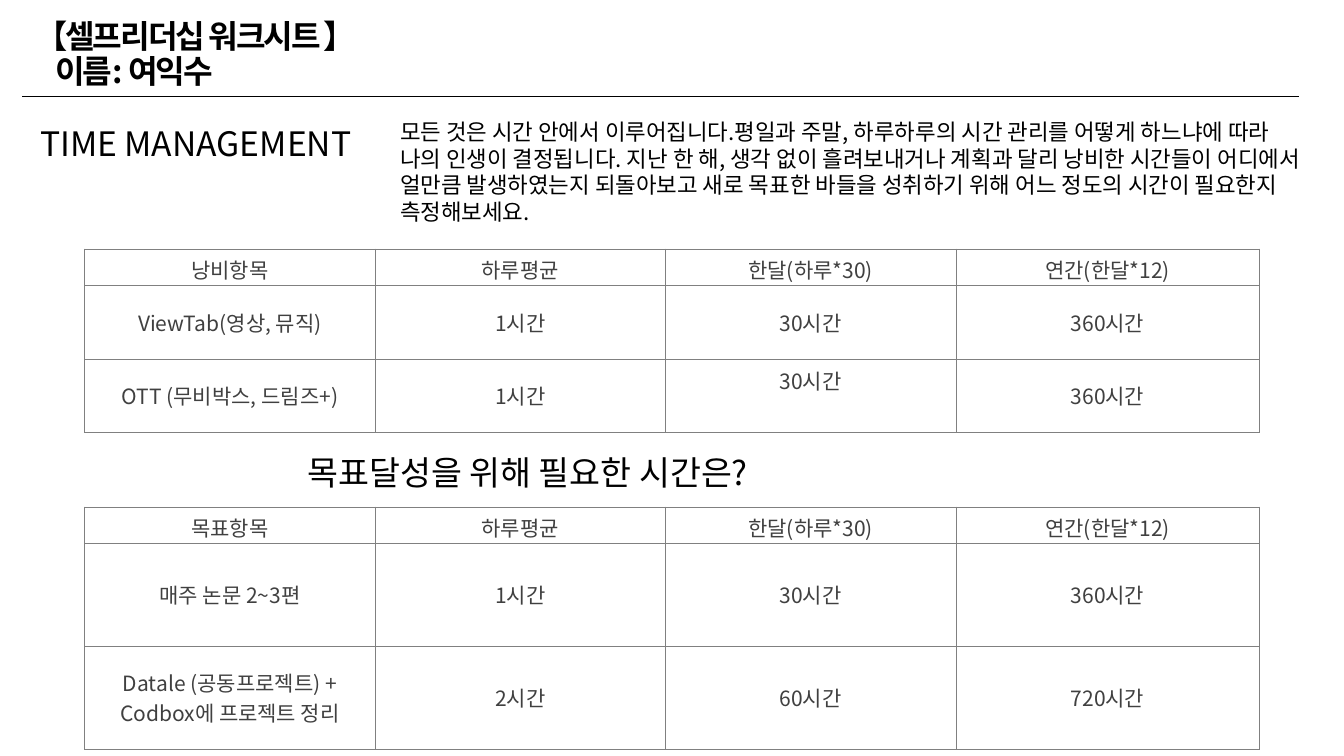
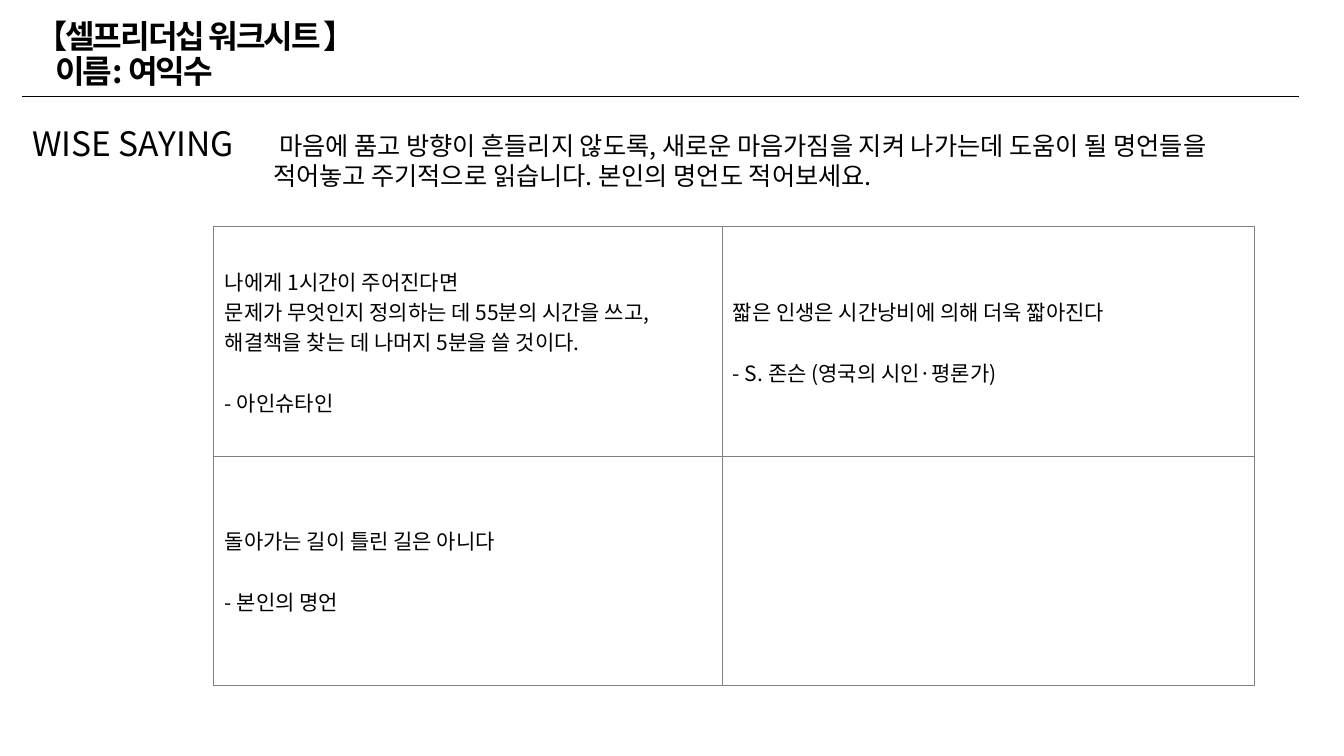
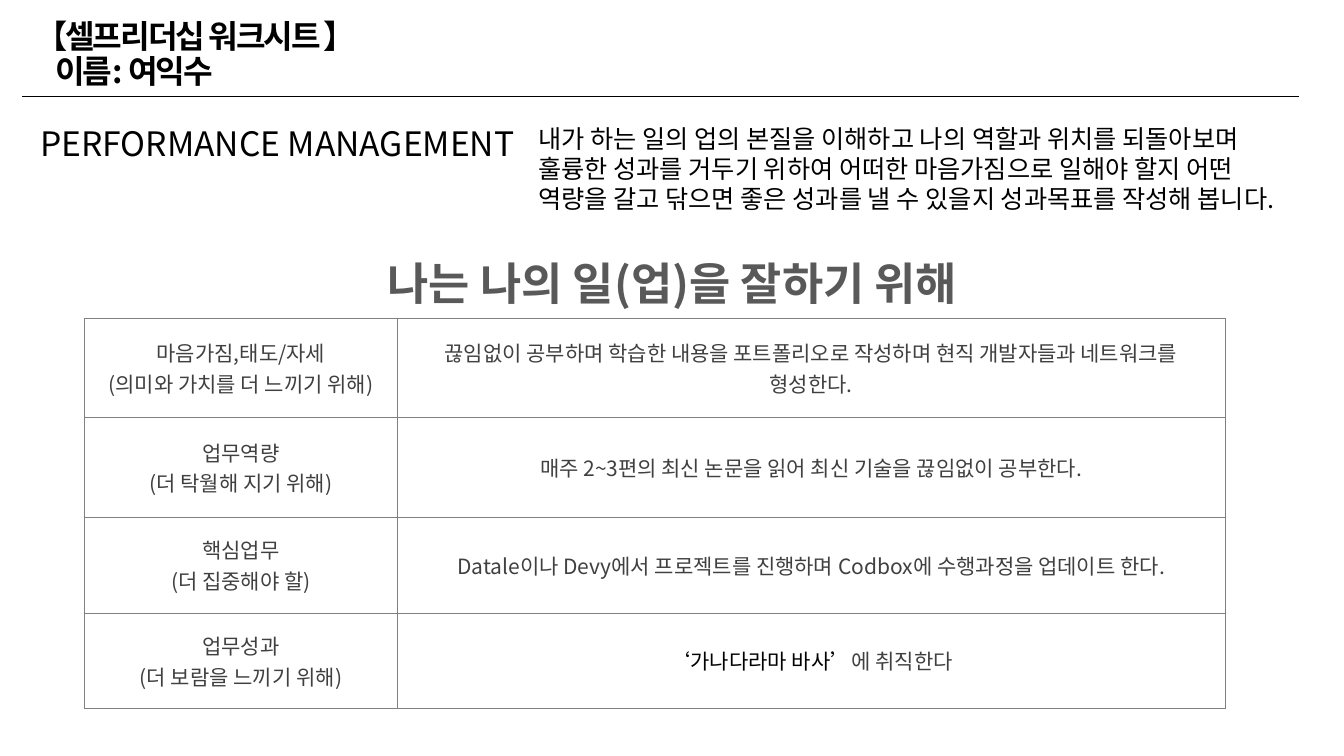
"""Build a three-slide self-leadership worksheet."""
from lxml import etree
from pptx import Presentation
from pptx import util as u
from pptx.dml.color import RGBColor
from pptx.enum import shapes, text
from pptx.oxml.ns import qn

BLACK = RGBColor(0x00, 0x00, 0x00)
WHITE = RGBColor(0xFF, 0xFF, 0xFF)
CELL_GRAY = RGBColor(0x40, 0x40, 0x40)
QUESTION_GRAY = RGBColor(0x59, 0x59, 0x59)
BORDER = "808080"
FONT = "Noto Sans CJK KR"
LEFT, CENTER = text.PP_ALIGN.LEFT, text.PP_ALIGN.CENTER


class Worksheet:
    """Holds the shared style and the current slide."""

    def __init__(self):
        self.deck = Presentation()
        self.deck.slide_width = u.Inches(13.33)
        self.deck.slide_height = u.Inches(7.5)
        self.slide = None

    def add_lines(self, frame, lines, size, color=BLACK, bold=False, align=LEFT):
        """Add lines, each a string or a list of (text, colour) runs."""
        frame.word_wrap = True
        for index, line in enumerate(lines):
            paragraph = frame.add_paragraph() if index else frame.paragraphs[0]
            paragraph.alignment = align
            for words, shade in [(line, color)] if isinstance(line, str) else line:
                run = paragraph.add_run()
                run.text = words
                run.font.size = u.Pt(size)
                run.font.bold = bold
                run.font.color.rgb = shade
                run.font.name = FONT
                etree.SubElement(run.font._element, qn("a:ea"), typeface=FONT)
        return frame.paragraphs

    def page(self):
        """Start a slide with the worksheet title and its rule."""
        self.slide = self.deck.slides.add_slide(self.deck.slide_layouts[5])
        rule = self.slide.shapes.add_connector(
            shapes.MSO_CONNECTOR.STRAIGHT,
            u.Inches(0.22), u.Inches(0.96), u.Inches(12.88), u.Inches(0.96))
        rule.line.color.rgb = BLACK
        rule.line.width = u.Pt(0.5)
        etree.SubElement(rule._element.spPr, qn("a:effectLst"))

        title = self.slide.shapes.title
        title.left, title.top = u.Inches(0.28), u.Inches(0.15)
        title.width, title.height = u.Inches(11.74), u.Inches(0.8)
        frame = title.text_frame
        frame.auto_size = text.MSO_AUTO_SIZE.NONE
        frame.vertical_anchor = text.MSO_ANCHOR.MIDDLE
        frame.margin_left = frame.margin_right = u.Inches(0.07)
        frame.margin_top = frame.margin_bottom = u.Inches(0.04)
        lines = self.add_lines(frame, ["【셀프리더십 워크시트 】", "이름: 여익수"], 23, bold=True)
        for paragraph in lines:
            paragraph.line_spacing = 0.9
            paragraph.space_before = u.Pt(0)
            paragraph.runs[0].font._element.set("spc", "-150")
        lines[1]._p.get_or_add_pPr().set("marL", str(u.Inches(0.2)))

    def label(self, words, left, top, width, height, size, **style):
        """Add a text box and return its paragraph."""
        box = self.slide.shapes.add_textbox(
            u.Inches(left), u.Inches(top), u.Inches(width), u.Inches(height))
        box.text_frame.auto_size = text.MSO_AUTO_SIZE.SHAPE_TO_FIT_TEXT
        return self.add_lines(box.text_frame, [words], size, **style)[0]

    def section(self, words, left):
        """Add the section heading below the rule."""
        self.label(words, left, 1.17, 12.9, 0.5, 24)

    def table(self, left, top, widths, heights, rows, color=CELL_GRAY, align=CENTER):
        """Add a bordered table whose cells are lists of lines."""
        grid = self.slide.shapes.add_table(
            len(heights), len(widths), u.Inches(left), u.Inches(top),
            u.Inches(sum(widths)), u.Inches(sum(heights))).table
        grid.first_row = grid.horz_banding = False
        for column, width in zip(grid.columns, widths):
            column.width = u.Inches(width)
        for row, height, contents in zip(grid.rows, heights, rows):
            row.height = u.Inches(height)
            for cell, lines in zip(row.cells, contents):
                self.style_cell(cell)
                self.add_lines(cell.text_frame, lines, 15, color, align=align)
        return grid

    def style_cell(self, cell):
        """Give a cell its margins, border and fill."""
        cell.vertical_anchor = text.MSO_ANCHOR.MIDDLE
        cell.margin_left = cell.margin_right = u.Inches(0.11)
        cell.margin_top = cell.margin_bottom = u.Inches(0.05)
        properties = cell._tc.get_or_add_tcPr()
        for side in ("a:lnL", "a:lnR", "a:lnT", "a:lnB"):
            edge = etree.SubElement(properties, qn(side), w=str(u.Pt(0.5)))
            paint = etree.SubElement(edge, qn("a:solidFill"))
            etree.SubElement(paint, qn("a:srgbClr"), val=BORDER)
        cell.fill.solid()
        cell.fill.fore_color.rgb = WHITE

    def hours_table(self, top, row_height, subject, items):
        """Add a table of daily, monthly and yearly hours."""
        rows = [[[subject], ["하루평균"], ["한달(하루*30)"], ["연간(한달*12)"]]]
        for item, hours in items:
            rows.append([[item]] + [[f"{hours * days}시간"] for days in (1, 30, 360)])
        grid = self.table(0.84, top, [2.88, 2.88, 2.88, 3.01],
                          [0.36, row_height, row_height], rows)
        for cell in grid.rows[0].cells:
            cell.margin_bottom = 0
        return grid


sheet = Worksheet()

sheet.page()
sheet.section("TIME MANAGEMENT", 0.3)
sheet.label(
    "모든 것은 시간 안에서 이루어집니다.평일과 주말, 하루하루의 시간 관리를 어떻게 하느냐에 "
    "따라 나의 인생이 결정됩니다. 지난 한 해, 생각 없이 흘려보내거나 계획과 달리 낭비한 시간들이 "
    "어디에서 얼만큼 발생하였는지 되돌아보고 새로 목표한 바들을 성취하기 위해 어느 정도의 시간이 "
    "필요한지 측정해보세요.", 3.87, 1.12, 9.15, 1.18, 16)
wasted = sheet.hours_table(2.47, 0.73, "낭비항목", [
    ("ViewTab(영상, 뮤직)", 1), ("OTT (무비박스, 드림즈+)", 1)])
wasted.cell(2, 2).margin_bottom = u.Inches(0.35)
sheet.hours_table(5.03, 1.02, "목표항목", [
    ("매주 논문 2~3편", 1), ("Datale (공동프로젝트) + Codbox에 프로젝트 정리", 2)])
sheet.label("목표달성을 위해 필요한 시간은?", 2.95, 4.43, 10.27, 0.5, 24)

sheet.page()
sheet.section("WISE SAYING", 0.22)
advice = sheet.label(
    "마음에 품고 방향이 흔들리지 않도록, 새로운 마음가짐을 지켜 나가는데 도움이 될 명언들을 "
    "적어놓고 주기적으로 읽습니다. 본인의 명언도 적어보세요.", 2.61, 1.24, 10.27, 1.01, 18)
advice._p.get_or_add_pPr().set("indent", str(u.Inches(0.06)))
quotes = sheet.table(2.12, 2.25, [5.04, 5.28], [2.28, 2.27], [
    [["나에게\u00a01시간이 주어진다면",
      "문제가 무엇인지 정의하는 데 55분의 시간을 쓰고, 해결책을 찾는 데 나머지 5분을 쓸 것이다.",
      "- 아인슈타인"],
     ["짧은 인생은 시간낭비에 의해 더욱 짧아진다", "- S. 존슨 (영국의 시인·평론가)"]],
    [["돌아가는 길이 틀린 길은 아니다", "- 본인의 명언"], []],
], color=BLACK, align=LEFT)
for quote in quotes.iter_cells():
    if quote.text:
        quote.text_frame.paragraphs[-1].space_before = u.Pt(21.7)

sheet.page()
sheet.section("PERFORMANCE MANAGEMENT", 0.3)
sheet.label(
    "내가 하는 일의 업의 본질을 이해하고 나의 역할과 위치를 되돌아보며 훌륭한 성과를 거두기 위하여 "
    "어떠한 마음가짐으로 일해야 할지 어떤 역량을 갈고 닦으면 좋은 성과를 낼 수 있을지 "
    "성과목표를 작성해 봅니다.", 5.24, 1.17, 7.51, 1.01, 18)
sheet.label("나는 나의 일(업)을 잘하기 위해", 0.42, 2.49, 12.5, 0.64, 32,
            color=QUESTION_GRAY, bold=True, align=CENTER)
sheet.table(0.84, 3.16, [3.1, 8.21], [0.98, 0.99, 0.95, 0.95], [
    [["마음가짐,태도/자세", "(의미와 가치를 더 느끼기 위해)"],
     ["끊임없이 공부하며 학습한 내용을 포트폴리오로 작성하며 현직 개발자들과 네트워크를 형성한다."]],
    [["업무역량", "(더 탁월해 지기 위해)"],
     ["매주 2~3편의 최신 논문을 읽어 최신 기술을 끊임없이 공부한다."]],
    [["핵심업무", "(더 집중해야 할)"],
     ["Datale이나 Devy에서 프로젝트를 진행하며 Codbox에 수행과정을 업데이트 한다."]],
    [["업무성과", "(더 보람을 느끼기 위해)"],
     [[("‘가나다라마 바사’", BLACK), ("에 취직한다", CELL_GRAY)]]],
])

sheet.deck.save("out.pptx")
